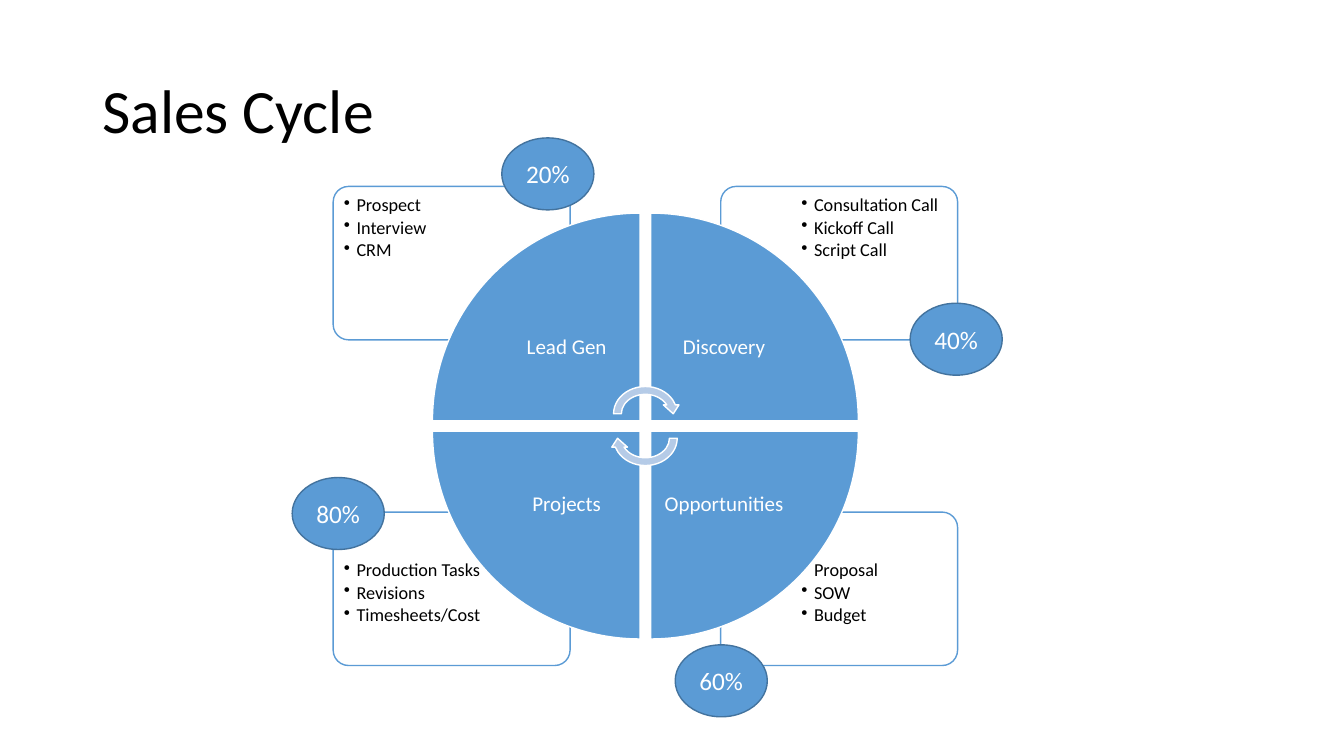
from lxml import etree
from pptx import Presentation
from pptx.dml.color import RGBColor
from pptx.enum import shapes, text
from pptx.oxml import ns
from pptx.util import Pt

TITLE = "Sales Cycle"
BLUE, PALE, EDGE, WHITE, BLACK = "5B9BD5", "B5CBE7", "43739E", "FFFFFF", "000000"
STAGES = [
    dict(name="Lead Gen", items=["Prospect", "Interview", "CRM"],
         side=(-1, -1), turn=0, share="20%", badge=(-69.7, -180.1)),
    dict(name="Discovery", items=["Consultation Call", "Kickoff Call", "Script Call"],
         side=(1, -1), turn=90, share="40%", badge=(222, -62)),
    dict(name="Opportunities", items=["Proposal", "SOW", "Budget"],
         side=(1, 1), turn=180, share="60%", badge=(54.2, 182)),
    dict(name="Projects", items=["Production Tasks", "Revisions", "Timesheets/Cost"],
         side=(-1, 1), turn=270, share="80%", badge=(-219.4, 62.5)),
]
CENTER = (461, 304.3)
WEDGE, LABEL, GAP = (148.4, 148.4), (105, 105), (3.7, 3.7)
CALLOUT, CALLOUT_GAP = (169.2, 109.6), (53.8, 61.5)
LISTING, LISTING_GAP = (113.8, 77.8), (106.5, 91.5)
BADGE, ARROW, ARROW_SHIFT = (65.8, 51.4), (51, 44.6), 8.7
MIDDLE, TOP = text.MSO_ANCHOR.MIDDLE, text.MSO_ANCHOR.TOP
CENTERED, LEFT = text.PP_ALIGN.CENTER, text.PP_ALIGN.LEFT
SHAPE = shapes.MSO_SHAPE


def rgb(value):
    return RGBColor.from_string(value)


def apply(obj, values):
    for key, value in values.items():
        setattr(obj, key, value)


def around(offset, size):
    return [Pt(c + o - d / 2) for c, o, d in zip(CENTER, offset, size)] + [Pt(d) for d in size]


def quadrant(side, gap, size):
    return around([s * (g + d / 2) for s, g, d in zip(side, gap, size)], size)


def draw(kind, box, fill, line, turn=0):
    s = sl.shapes.add_shape(kind, *box)
    s.shadow.inherit = False
    s.rotation = turn
    s.fill.solid()
    s.fill.fore_color.rgb = rgb(fill)
    s.line.color.rgb = rgb(line)
    s.line.width = Pt(1)
    return s


def write(tf, lines, size, color, anchor, inset=None, bullet=False, **para):
    apply(tf, dict(word_wrap=True, vertical_anchor=anchor))
    if inset is not None:
        apply(tf, {f"margin_{e}": Pt(inset) for e in ("left", "right", "top", "bottom")})
    for i, line in enumerate(lines):
        p = tf.add_paragraph() if i else tf.paragraphs[0]
        apply(p, para)
        r = p.add_run()
        r.text = line
        apply(r.font, dict(name="Calibri", size=Pt(size)))
        r.font.color.rgb = rgb(color)
        if bullet:
            pPr = p._p.get_or_add_pPr()
            pPr.set("marL", str(Pt(9)))
            pPr.set("indent", str(-Pt(9)))
            etree.SubElement(pPr, ns.qn("a:buChar")).set("char", "•")


def text_box(box, *args, **kwargs):
    write(sl.shapes.add_textbox(*box).text_frame, *args, **kwargs)


prs = Presentation()
apply(prs, dict(slide_width=Pt(960), slide_height=Pt(540)))
sl = prs.slides.add_slide(prs.slide_layouts[5])
title = sl.shapes.title
apply(title, dict(left=Pt(66), top=Pt(28.8), width=Pt(828), height=Pt(104.4)))
write(title.text_frame, [TITLE], 44, BLACK, MIDDLE, alignment=LEFT, line_spacing=0.9)

for stage in reversed(STAGES):
    s = draw(SHAPE.ROUNDED_RECTANGLE, quadrant(stage["side"], CALLOUT_GAP, CALLOUT), WHITE, BLUE)
    s.adjustments[0] = 0.1
    fill = s._element.spPr.find(ns.qn("a:solidFill"))
    etree.SubElement(fill[0], ns.qn("a:alpha")).set("val", "90000")
    text_box(quadrant(stage["side"], LISTING_GAP, LISTING), stage["items"], 13, BLACK, TOP,
             inset=5, bullet=True, alignment=LEFT, line_spacing=0.9, space_after=Pt(2))

for stage in STAGES:
    draw(SHAPE.PIE_WEDGE, quadrant(stage["side"], GAP, WEDGE), BLUE, WHITE, stage["turn"])
    text_box(quadrant(stage["side"], GAP, LABEL), [stage["name"]], 15, WHITE, MIDDLE,
             inset=8.5, alignment=CENTERED, line_spacing=0.9)

for sign, turn in ((-1, 0), (1, 180)):
    draw(SHAPE.CIRCULAR_ARROW, around((0, sign * ARROW_SHIFT), ARROW), PALE, WHITE, turn)

for stage in STAGES:
    s = draw(SHAPE.OVAL, around(stage["badge"], BADGE), BLUE, EDGE)
    write(s.text_frame, [stage["share"]], 18, WHITE, MIDDLE, alignment=CENTERED)

prs.save("out.pptx")
